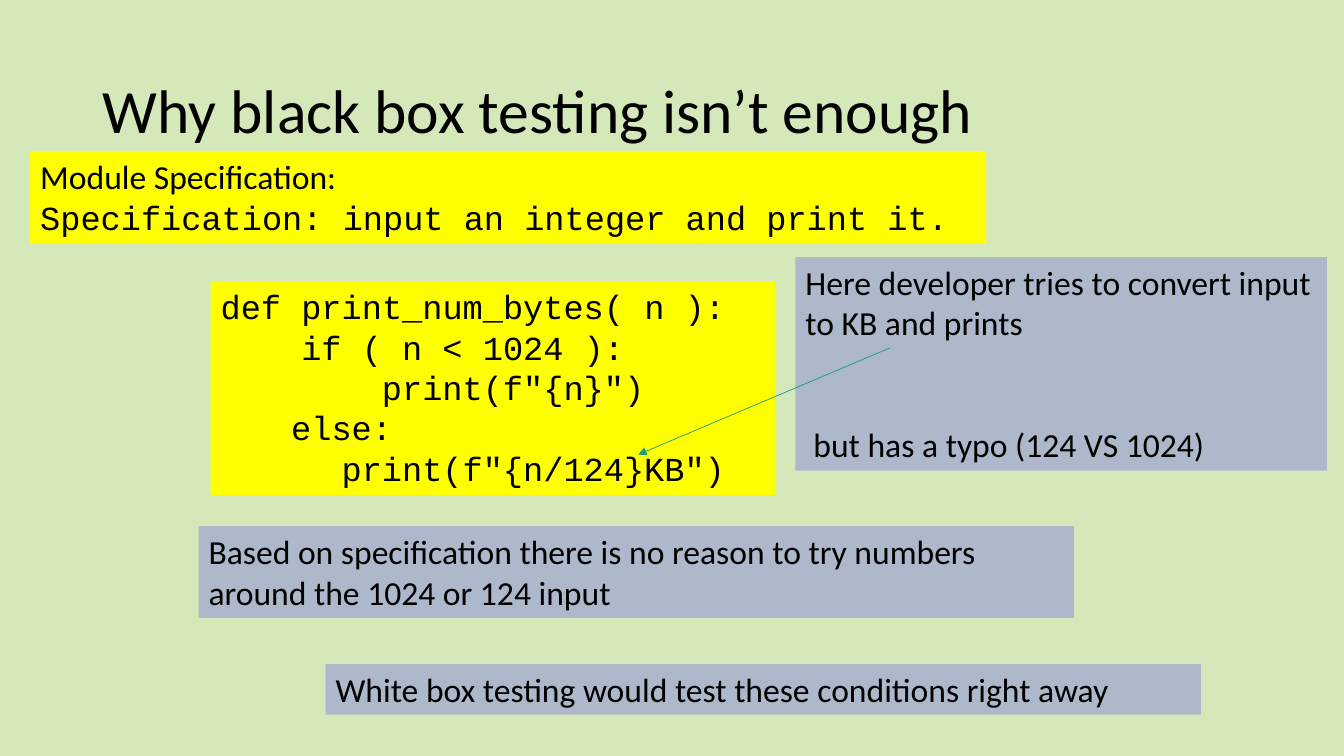
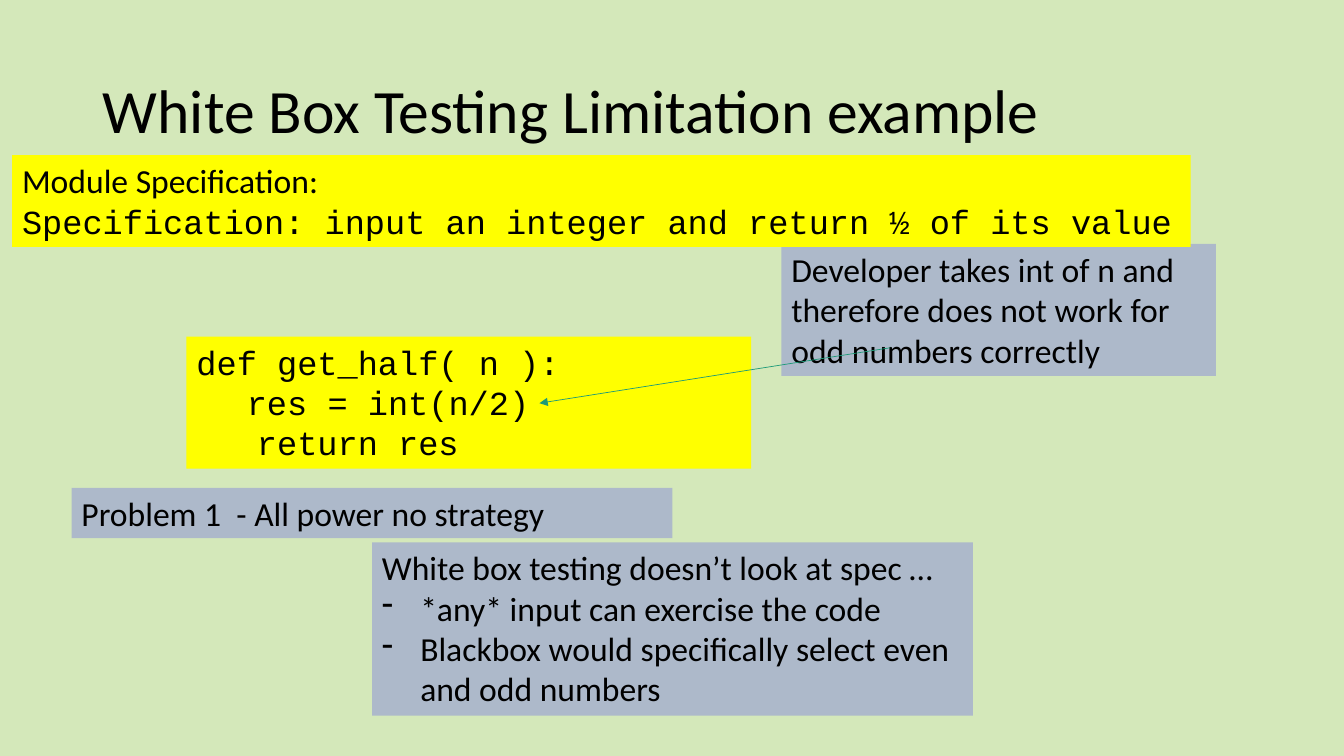
from lxml.etree import SubElement
from pptx import Presentation
from pptx.dml.color import RGBColor
from pptx.enum.shapes import MSO_CONNECTOR
from pptx.enum.text import MSO_ANCHOR, PP_ALIGN
from pptx.oxml.ns import qn
from pptx.util import Inches, Pt

BLACK = RGBColor(0x00, 0x00, 0x00)
GREEN = RGBColor(0xD4, 0xE8, 0xBA)
YELLOW = RGBColor(0xFF, 0xFF, 0x00)
BLUE_GREY = RGBColor(0xAD, 0xB9, 0xCA)
TEAL = RGBColor(0x1D, 0x9A, 0x78)
SANS, MONO = "Calibri", "Courier New"
TITLE_ONLY = 5
TITLE_AREA = (0.92, 0.4, 11.5, 1.45)


def code(text, columns=0):
    return text, {"font": MONO, "indent": columns * 0.2}


def spec(text):
    return [("Module Specification:", {}), code("Specification: " + text)]


def note(text):
    return [(text, {})]


def bullet(text):
    return text, {"indent": 0.38, "bullet": "-"}


SLIDES = [
    ("Why black box testing isn’t enough", [
        (YELLOW, (0.3, 1.5, 9.48, 0.91), spec("input an integer and print it.")),
        (YELLOW, (2.09, 2.79, 5.6, 2.12), [
            code("def print_num_bytes( n ):"),
            code("if ( n < 1024 ):", 4),
            code('print(f"{n}")', 8),
            code("else:", 3.5),
            code('print(f"{n/124}KB")', 6),
        ]),
        (BLUE_GREY, (7.89, 2.55, 5.27, 2.12), [
            ("Here developer tries to convert input", {}),
            ("to KB and prints", {}),
            ("but has a typo (124 VS 1024)", {"indent": 0.08, "before": 58}),
        ]),
        ("arrow", (8.83, 3.45, 6.33, 4.51), None),
        (BLUE_GREY, (1.97, 5.22, 8.68, 0.91),
         note("Based on specification there is no reason to try numbers around the 1024 or 124 input")),
        (BLUE_GREY, (3.23, 6.59, 8.68, 0.5),
         note("White box testing would test these conditions right away")),
    ]),
    ("White Box Testing Limitation example", [
        (YELLOW, (1.85, 3.34, 5.6, 1.31), [
            code("def get_half( n ):"),
            code("res = int(n/2)", 2.5),
            code("return res", 3),
        ]),
        (BLUE_GREY, (7.75, 2.42, 4.31, 1.31),
         note("Developer takes int of n and therefore does not work for odd numbers correctly")),
        ("arrow", (8.83, 3.45, 5.35, 4), None),
        (YELLOW, (0.12, 1.54, 11.69, 0.91), spec("input an integer and return ½ of its value")),
        (BLUE_GREY, (3.69, 5.38, 5.96, 1.72), [
            ("White box testing doesn’t look at spec …", {}),
            bullet("*any* input can exercise the code"),
            bullet("Blackbox would specifically select even and odd numbers"),
        ]),
        (BLUE_GREY, (0.71, 4.84, 5.96, 0.5), note("Problem 1  - All power no strategy")),
    ]),
]


def write(p, text, font=SANS, size=24, indent=0, bullet=None, before=0, spacing=None):
    p.alignment = PP_ALIGN.LEFT
    p.space_before = Pt(before)
    if spacing:
        p.line_spacing = spacing
    r = p.add_run()
    r.text = text
    r.font.name = font
    r.font.size = Pt(size)
    r.font.color.rgb = BLACK
    pPr = p._p.get_or_add_pPr()
    if indent:
        pPr.set("marL", str(Inches(indent)))
    if bullet:
        pPr.set("indent", str(-Inches(indent)))
        SubElement(pPr, qn("a:buChar")).set("char", bullet)


def add_box(s, fill, area, lines):
    sp = s.shapes.add_textbox(*map(Inches, area))
    sp.fill.solid()
    sp.fill.fore_color.rgb = fill
    tf = sp.text_frame
    tf.word_wrap = True
    for i, (text, style) in enumerate(lines):
        write(tf.add_paragraph() if i else tf.paragraphs[0], text, **style)


def add_arrow(s, ends):
    line = s.shapes.add_connector(MSO_CONNECTOR.STRAIGHT, *map(Inches, ends))
    line.line.color.rgb = TEAL
    line.line.width = Pt(0.5)
    SubElement(line.line._get_or_add_ln(), qn("a:tailEnd")).set("type", "triangle")
    SubElement(line._element.spPr, qn("a:effectLst"))


def style_template(prs):
    fill = prs.slide_master.background.fill
    fill.solid()
    fill.fore_color.rgb = GREEN
    layout = prs.slide_layouts[TITLE_ONLY]
    title = layout.placeholders[0]
    title.left, title.top, title.width, title.height = map(Inches, TITLE_AREA)
    title.text_frame.vertical_anchor = MSO_ANCHOR.MIDDLE
    return layout


def main():
    prs = Presentation()
    prs.slide_width, prs.slide_height = Inches(13.33), Inches(7.5)
    layout = style_template(prs)
    for title, parts in SLIDES:
        s = prs.slides.add_slide(layout)
        write(s.shapes.title.text_frame.paragraphs[0], title, size=44, spacing=0.9)
        for kind, area, lines in parts:
            if kind == "arrow":
                add_arrow(s, area)
            else:
                add_box(s, kind, area, lines)
    prs.save("out.pptx")


if __name__ == "__main__":
    main()
